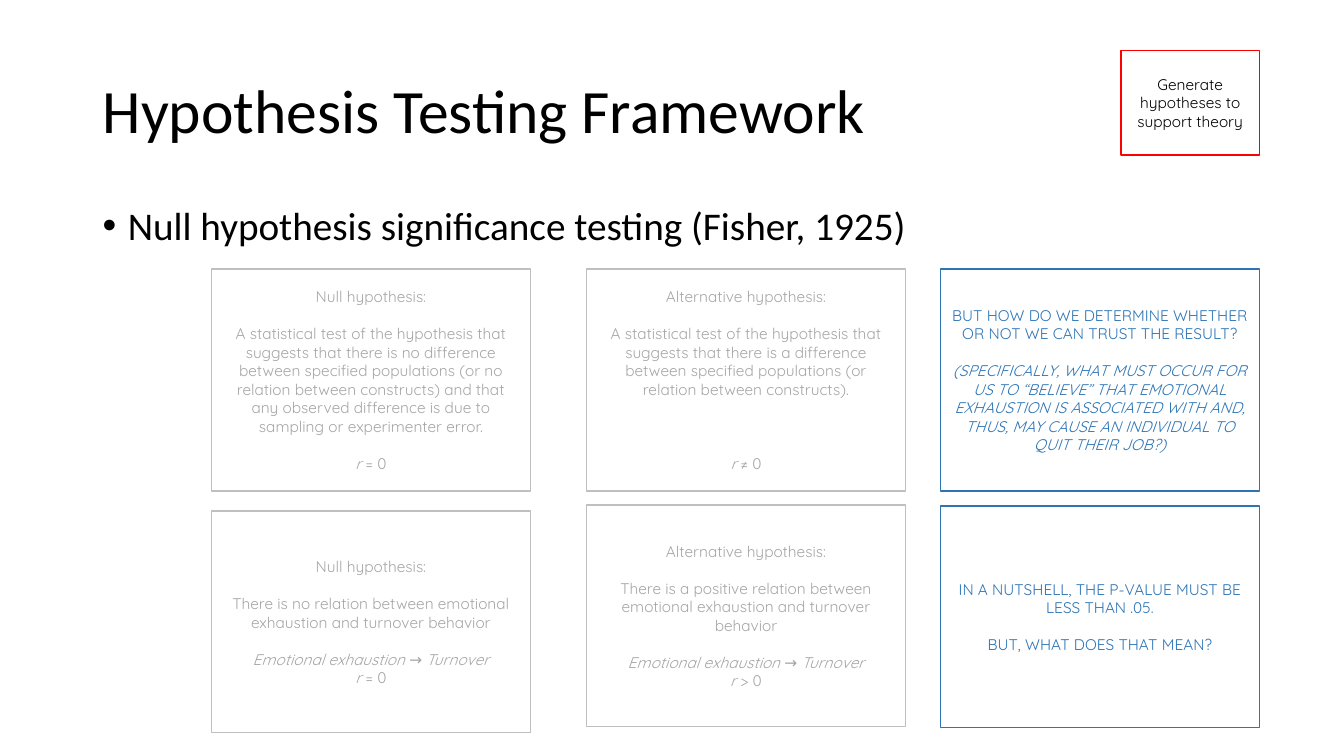
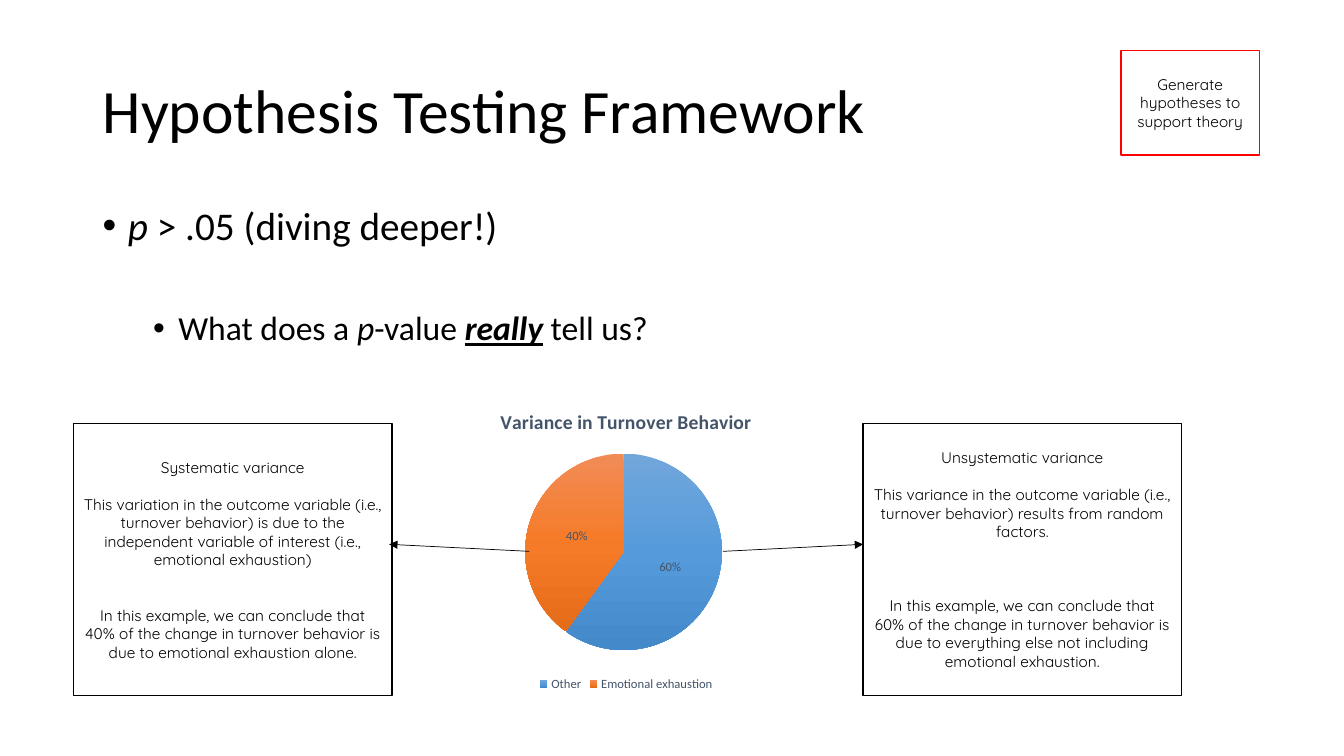
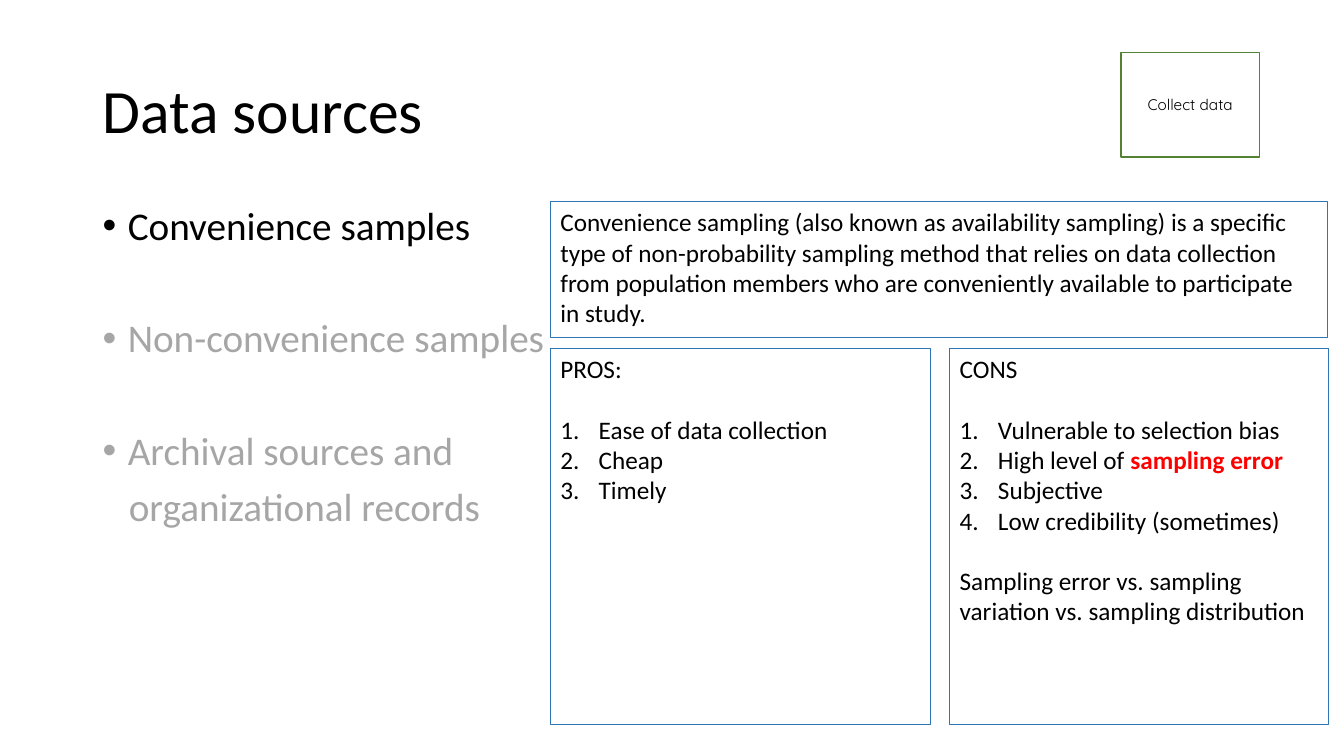
from copy import deepcopy
from dataclasses import dataclass

from lxml.etree import SubElement
from pptx import Presentation
from pptx.chart.data import CategoryChartData
from pptx.dml.color import RGBColor
from pptx.enum.chart import XL_CHART_TYPE, XL_LABEL_POSITION, XL_LEGEND_POSITION
from pptx.enum.shapes import MSO_CONNECTOR, MSO_SHAPE
from pptx.enum.text import MSO_ANCHOR, PP_ALIGN
from pptx.oxml import parse_xml
from pptx.oxml.ns import nsdecls, qn
from pptx.util import Inches, Pt

# Shared style
BLACK = RGBColor(0, 0, 0)
RED = RGBColor(0xFF, 0, 0)
GREEN = RGBColor(0x54, 0x82, 0x35)
BLUE = RGBColor(0x2E, 0x75, 0xB6)
SLATE = RGBColor(0x44, 0x54, 0x6A)
GREY_LINE = RGBColor(0xBF, 0xBF, 0xBF)
GREY_TEXT = RGBColor(0xA6, 0xA6, 0xA6)
SLICE_COLORS = (("71A6DB", "559BDB", "448ACA"), ("F18C57", "F67B28", "E56C19"))
MAIN_FONT, BOX_FONT = "Calibri", "Quicksand"
CARD_W = 3.16
LINE = 1.2  # line height as a multiple of the text size


@dataclass
class Run:
    text: str
    marks: str = ""  # any of b, i, u
    color: RGBColor = None


@dataclass
class Para:
    runs: list
    before: float = 0
    bullet: str = ""
    left: float = 0
    hang: float = 0
    size: float = None
    color: RGBColor = None


# Paragraph kinds
def card_line(*runs, skip=0):
    """A line in a card, set off by a number of line heights."""
    return Para(runs, before=skip * 11 * LINE)


def bullet(*runs, before=0, color=None):
    return Para(runs, before, "•", 0.25, 0.25, color=color)


def item(*runs, before=0):
    return Para(runs, before, "1.", 0.38, 0.38)


def add_bullet(p, para):
    pPr = p._p.get_or_add_pPr()
    pPr.set("marL", str(Inches(para.left)))
    pPr.set("indent", str(-Inches(para.hang)))
    if para.bullet == "•":
        SubElement(pPr, qn("a:buFont")).set("typeface", "Arial")
        SubElement(pPr, qn("a:buChar")).set("char", "•")
    elif para.bullet:
        SubElement(pPr, qn("a:buAutoNum")).set("type", "arabicPeriod")


def write(tf, paras, size, color=BLACK, font=MAIN_FONT, align=PP_ALIGN.LEFT,
          anchor=MSO_ANCHOR.TOP, spacing=None):
    tf.word_wrap = True
    tf.vertical_anchor = anchor
    for n, para in enumerate(paras):
        p = tf.paragraphs[0] if n == 0 else tf.add_paragraph()
        add_bullet(p, para)
        p.alignment = align
        if spacing:
            p.line_spacing = spacing
        if para.before:
            p.space_before = Pt(para.before)
        for run in para.runs:
            run = Run(run) if isinstance(run, str) else run
            r = p.add_run()
            r.text = run.text
            r.font.name = font
            r.font.size = Pt(para.size or size)
            r.font.color.rgb = run.color or para.color or color
            if run.marks:
                r.font.bold = "b" in run.marks
                r.font.italic = "i" in run.marks
                r.font.underline = "u" in run.marks


# Element kinds
def add_text(s, top, height, paras, size, anchor=MSO_ANCHOR.TOP):
    sp = s.shapes.add_textbox(Inches(0.92), Inches(top), Inches(11.5), Inches(height))
    write(sp.text_frame, paras, size, anchor=anchor, spacing=0.9)


def add_box(s, left, top, width, height, line):
    sp = s.shapes.add_shape(MSO_SHAPE.RECTANGLE, Inches(left), Inches(top),
                            Inches(width), Inches(height))
    sp.shadow.inherit = False
    sp.fill.background()
    sp.line.color.rgb = line
    sp.line.width = Pt(1)
    return sp


def add_card(s, left, top, width, height, line, paras, color=BLACK):
    sp = add_box(s, left, top, width, height, line)
    write(sp.text_frame, paras, 11, color, BOX_FONT, PP_ALIGN.CENTER, MSO_ANCHOR.MIDDLE)


def add_panel(s, left, top, width, height, paras):
    write(add_box(s, left, top, width, height, BLUE).text_frame, paras, 18)


def add_arrow(s, x1, y1, x2, y2):
    c = s.shapes.add_connector(MSO_CONNECTOR.STRAIGHT, Inches(x1), Inches(y1),
                               Inches(x2), Inches(y2))
    c.line.color.rgb = BLACK
    c.line.width = Pt(0.5)
    SubElement(c.line._get_or_add_ln(), qn("a:tailEnd")).set("type", "triangle")
    SubElement(c._element.spPr, qn("a:effectLst"))


def add_pie(s, left, top, width, height, title, shares):
    data = CategoryChartData()
    data.categories = list(shares)
    data.add_series("Series 1", list(shares.values()))
    chart = s.shapes.add_chart(XL_CHART_TYPE.PIE, Inches(left), Inches(top),
                               Inches(width), Inches(height), data).chart
    chart.font.name, chart.font.size = MAIN_FONT, Pt(10)

    # Title and legend
    chart.has_title = True
    r = chart.chart_title.text_frame.paragraphs[0].add_run()
    r.text = title
    r.font.name, r.font.size, r.font.bold = MAIN_FONT, Pt(14), True
    r.font.color.rgb = SLATE
    chart.has_legend = True
    chart.legend.position = XL_LEGEND_POSITION.BOTTOM
    chart.legend.include_in_layout = False

    # Labels
    plot = chart.plots[0]
    plot.vary_by_categories = True
    plot.has_data_labels = True
    labels = plot.data_labels
    labels.show_percentage, labels.show_value = True, False
    labels.number_format, labels.number_format_is_linked = "0%", False
    labels.position = XL_LABEL_POSITION.CENTER
    for font in (labels.font, chart.legend.font):
        font.name, font.size = MAIN_FONT, Pt(9)
        font.color.rgb = SLATE

    # Three-stop gradient on each slice
    series = plot.series[0]
    for n, colors in enumerate(SLICE_COLORS):
        fill = series.points[n].format.fill
        fill.gradient()
        fill.gradient_angle = 270
        stops = series._element.xpath("c:dPt/c:spPr/a:gradFill/a:gsLst")[n]
        stops.append(deepcopy(stops[0]))
        for stop, position, color in zip(fill.gradient_stops, (0, 0.5, 1), colors):
            stop.position = position
            stop.color.rgb = RGBColor.from_string(color)

    # Fixed place of the pie inside the chart
    area = chart._chartSpace.xpath("c:chart/c:plotArea")[0]
    for layout in area.xpath("c:layout"):
        area.remove(layout)
    places = "".join(f'<c:{k} val="{v}"/>' for k, v in
                     (("x", 0.3), ("y", 0.2), ("w", 0.39), ("h", 0.65)))
    area.insert(0, parse_xml(
        f'<c:layout {nsdecls("c")}><c:manualLayout><c:layoutTarget val="inner"/>'
        f'<c:xMode val="edge"/><c:yMode val="edge"/>{places}</c:manualLayout></c:layout>'))


def add_slide(prs, title, step, step_color, step_top, body):
    """A slide with its title, bulleted body and the step box at top right."""
    s = prs.slides.add_slide(prs.slide_layouts[6])
    add_card(s, 11.12, step_top, 1.37, 1.04, step_color, [card_line(step)])
    add_text(s, 0.4, 1.45, [Para([title])], 44, MSO_ANCHOR.MIDDLE)
    add_text(s, 2, 4.76, body, 28)
    return s


def add_framework_slide(prs, body):
    return add_slide(prs, "Hypothesis Testing Framework",
                     "Generate hypotheses to support theory", RED, 0.5, body)


# Slides
def null_testing_slide(prs):
    s = add_framework_slide(
        prs, [bullet("Null hypothesis significance testing (Fisher, 1925)")])
    r = Run("r", "i")
    path_line = card_line(Run("Emotional exhaustion → Turnover", "i"), skip=1)
    grey, blue = (GREY_LINE, GREY_TEXT), (BLUE, BLUE)
    cards = [
        (2.1, 2.67, grey, [
            card_line("Null hypothesis:"),
            card_line("A statistical test of the hypothesis that suggests that there is no "
                      "difference between specified populations (or no relation between "
                      "constructs) and that any observed difference is due to sampling or "
                      "experimenter error.", skip=1),
            card_line(r, " = 0", skip=1)]),
        (5.82, 2.67, grey, [
            card_line("Alternative hypothesis:"),
            card_line("A statistical test of the hypothesis that suggests that there is a "
                      "difference between specified populations (or relation between "
                      "constructs).", skip=1),
            card_line(r, " ≠ 0", skip=3)]),
        (2.1, 5.07, grey, [
            card_line("Null hypothesis:"),
            card_line("There is no relation between emotional exhaustion and turnover "
                      "behavior", skip=1),
            path_line, card_line(r, " = 0")]),
        (5.82, 5.01, grey, [
            card_line("Alternative hypothesis:"),
            card_line("There is a positive relation between emotional exhaustion and "
                      "turnover behavior", skip=1),
            path_line, card_line(r, " > 0")]),
        (9.33, 2.67, blue, [
            card_line("BUT HOW DO WE DETERMINE WHETHER OR NOT WE CAN TRUST THE RESULT?"),
            card_line(Run("(SPECIFICALLY, WHAT MUST OCCUR FOR US TO “BELIEVE” THAT EMOTIONAL "
                          "EXHAUSTION IS ASSOCIATED WITH AND, THUS, MAY CAUSE AN INDIVIDUAL "
                          "TO QUIT THEIR JOB?)", "i"), skip=1)]),
        (9.33, 5.02, blue, [
            card_line("IN A NUTSHELL, THE P-VALUE MUST BE LESS THAN .05."),
            card_line("BUT, WHAT DOES THAT MEAN?", skip=1)]),
    ]
    for left, top, (line, color), paras in cards:
        add_card(s, left, top, CARD_W, 2.2, line, paras, color)


def p_value_slide(prs):
    p = Run("p", "i")
    s = add_framework_slide(prs, [
        bullet(p, " > .05 (diving deeper!)"),
        Para(["What does a ", p, "-value ", Run("really", "biu"), " tell us?"],
             45, "•", 0.75, 0.25, size=24)])
    add_pie(s, 3.71, 3.9, 5, 3, "Variance in Turnover Behavior",
            {"Other": 60, "Emotional exhaustion": 40})
    add_arrow(s, 5.25, 5.47, 3.86, 5.4)
    add_arrow(s, 7.17, 5.47, 8.56, 5.4)
    add_card(s, 0.73, 4.2, CARD_W, 2.7, BLACK, [
        card_line("Systematic variance"),
        card_line("This variation in the outcome variable (i.e., turnover behavior) is due to "
                  "the independent variable of interest (i.e., emotional exhaustion)", skip=1),
        card_line("In this example, we can conclude that 40% of the change in turnover "
                  "behavior is due to emotional exhaustion alone.", skip=2)])
    add_card(s, 8.56, 4.2, CARD_W, 2.7, BLACK, [
        card_line("Unsystematic variance"),
        card_line("This variance in the outcome variable (i.e., turnover behavior) results "
                  "from random factors.", skip=1),
        card_line("In this example, we can conclude that 60% of the change in turnover "
                  "behavior is due to everything else not including emotional exhaustion.",
                  skip=3)])


def data_sources_slide(prs):
    s = add_slide(prs, "Data sources", "Collect data", GREEN, 0.52, [
        bullet("Convenience samples"),
        bullet("Non-convenience samples", before=50, color=GREY_TEXT),
        bullet("Archival sources and", before=50, color=GREY_TEXT),
        Para(["organizational records"], 10, left=0.26, color=GREY_TEXT)])
    blank = 18 * LINE
    add_panel(s, 5.46, 2, 7.71, 1.35, [Para([
        "Convenience sampling (also known as availability sampling) is a specific type of "
        "non-probability sampling method that relies on data collection from population "
        "members who are conveniently available to participate in study."])])
    add_panel(s, 5.46, 3.46, 3.77, 3.73, [
        Para(["PROS:"]),
        item("Ease of data collection", before=blank),
        item("Cheap"),
        item("Timely")])
    add_panel(s, 9.42, 3.46, 3.76, 3.73, [
        Para(["CONS"]),
        item("Vulnerable to selection bias", before=blank),
        item("High level of ", Run("sampling error", "b", RED)),
        item("Subjective"),
        item("Low credibility (sometimes)"),
        Para(["Sampling error vs. sampling variation vs. sampling distribution"], blank)])


def main():
    prs = Presentation()
    prs.slide_width, prs.slide_height = Inches(13.33), Inches(7.5)
    null_testing_slide(prs)
    p_value_slide(prs)
    data_sources_slide(prs)
    prs.save("out.pptx")


if __name__ == "__main__":
    main()
